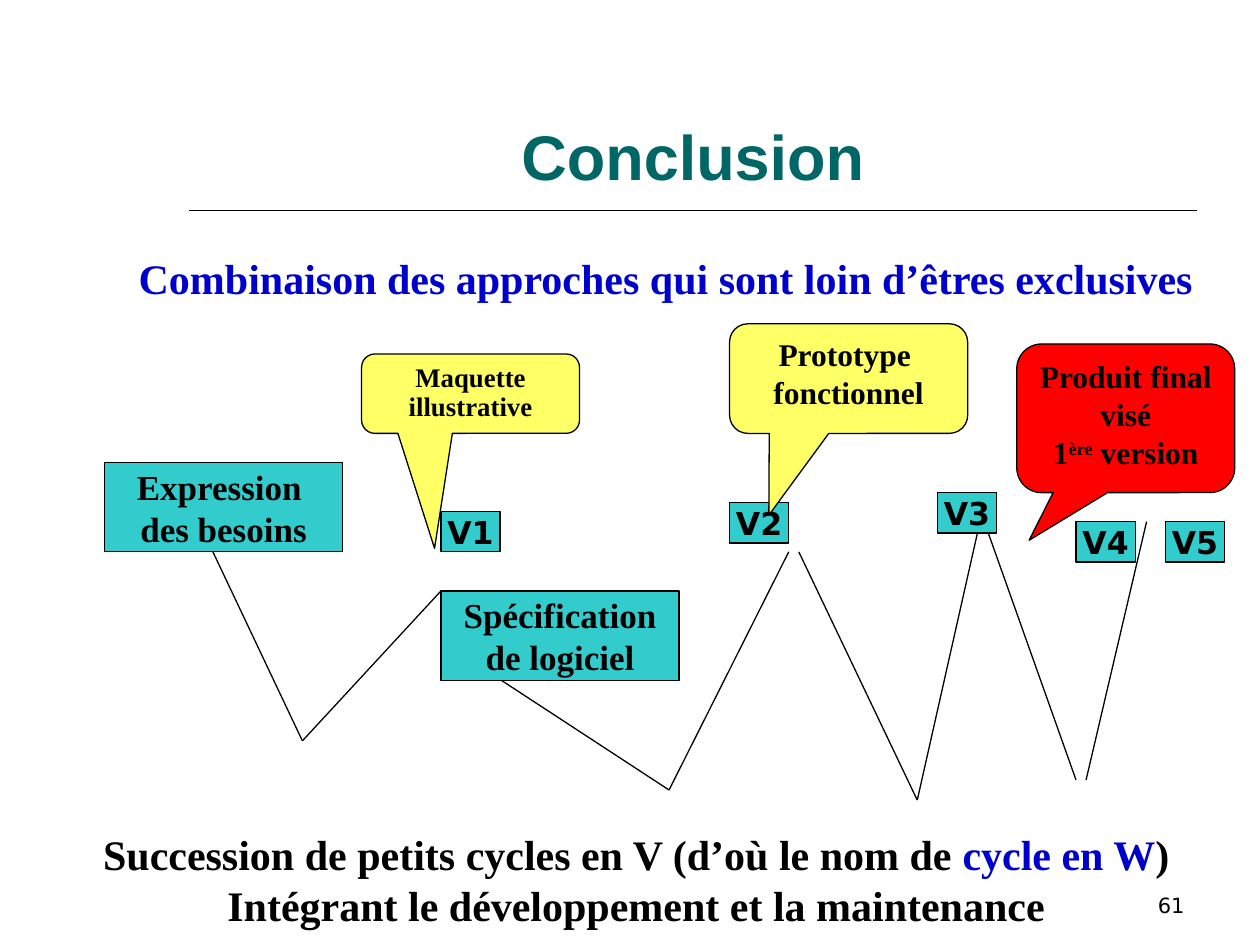
from dataclasses import dataclass
from itertools import pairwise

from lxml.etree import SubElement
from pptx import Presentation
from pptx.dml.color import RGBColor
from pptx.enum.shapes import MSO_CONNECTOR, MSO_SHAPE
from pptx.enum.text import MSO_ANCHOR, PP_ALIGN
from pptx.oxml.ns import qn
from pptx.util import Inches, Pt


@dataclass(frozen=True)
class Theme:
    black: str = "000000"
    heading: str = "006666"
    accent: str = "0000CC"
    step: str = "33CCCC"
    note: str = "FFFF66"
    final: str = "FF0000"
    serif: str = "Times New Roman"
    sans: str = "Arial"
    label: str = "DejaVu Sans"
    title_size: float = 36
    body_size: float = 24
    step_size: float = 20
    version_size: float = 18
    small_note_size: float = 15.3
    number_size: float = 12
    line_width: float = 0.75


@dataclass(frozen=True)
class Box:
    left: float
    top: float
    width: float
    height: float

    def inner(self, x, y, width, height):
        return Box(self.left + x, self.top + y, width, height)

    def inches(self):
        return [Inches(v) for v in (self.left, self.top, self.width, self.height)]


THEME = Theme()


def color(value):
    return RGBColor.from_string(value)


def write(frame, lines, size, font, bold=True, ink=THEME.black,
          align=PP_ALIGN.CENTER, anchor=MSO_ANCHOR.TOP, wrap=True, spacing=None):
    """Each line is a list of (text, colour or None, superscript) runs."""
    frame.word_wrap = wrap
    frame.vertical_anchor = anchor
    for index, line in enumerate(lines):
        paragraph = frame.paragraphs[0] if index == 0 else frame.add_paragraph()
        paragraph.alignment = align
        if spacing:
            paragraph.line_spacing = spacing
        for text, run_ink, raised in line:
            run = paragraph.add_run()
            run.text = text
            run.font.size, run.font.name, run.font.bold = Pt(size), font, bold
            run.font.color.rgb = color(run_ink or ink)
            if raised:
                run.font._element.set("baseline", "30000")


def plain(*texts):
    return [[(text, None, False)] for text in texts]


def add_text(slide, box, lines, size, font, **style):
    frame = slide.shapes.add_textbox(*box.inches()).text_frame
    write(frame, lines, size, font, **style)
    return frame


def add_filled(slide, preset, box, fill):
    shape = slide.shapes.add_shape(preset, *box.inches())
    shape.shadow.inherit = False
    shape.fill.solid()
    shape.fill.fore_color.rgb = color(fill)
    shape.line.color.rgb = color(THEME.black)
    shape.line.width = Pt(THEME.line_width)
    return shape


def add_line(slide, start, end, width=THEME.line_width):
    line = slide.shapes.add_connector(
        MSO_CONNECTOR.STRAIGHT, *[Inches(v) for v in (*start, *end)])
    line.line.color.rgb = color(THEME.black)
    line.line.width = Pt(width)
    SubElement(line._element.spPr, qn("a:effectLst"))


def add_step(slide, box, lines, size, font):
    shape = add_filled(slide, MSO_SHAPE.RECTANGLE, box, THEME.step)
    write(shape.text_frame, lines, size, font, anchor=MSO_ANCHOR.MIDDLE, wrap=False)


def add_callout(slide, box, lines, fill, tip, size, spacing=None):
    shape = add_filled(slide, MSO_SHAPE.ROUNDED_RECTANGULAR_CALLOUT, box, fill)
    for index, value in enumerate((*tip, 0.167)):
        shape.adjustments[index] = value
    write(shape.text_frame, lines, size, THEME.serif, spacing=spacing)


def build_header(slide, box):
    # Title above its rule
    add_text(slide, box.inner(0, 0, box.width, 1.25), plain("Conclusion"),
             THEME.title_size, THEME.sans, ink=THEME.heading, anchor=MSO_ANCHOR.BOTTOM)
    rule_y = box.top + box.height
    add_line(slide, (box.left, rule_y), (box.left + box.width, rule_y), 1)


def build_statement(slide, box):
    frame = add_text(slide, box, plain("Combinaison des approches qui sont loin d’êtres exclusives"),
                     THEME.body_size, THEME.serif, ink=THEME.accent,
                     align=PP_ALIGN.LEFT, spacing=0.9)
    frame.margin_left = Inches(0.35)


def build_w_cycle(slide, box):
    # Strokes of the successive V cycles
    strokes = [
        [(0.86, 1.81), (1.57, 3.31), (2.67, 2.12)],
        [(3.15, 2.83), (4.48, 3.70), (5.43, 1.81)],
        [(5.51, 1.81), (6.45, 3.78), (6.93, 1.65)],
        [(7.01, 1.65), (7.71, 3.62)],
        [(7.79, 3.62), (8.27, 1.57)],
    ]
    for stroke in strokes:
        points = [(box.left + x, box.top + y) for x, y in stroke]
        for start, end in pairwise(points):
            add_line(slide, start, end)

    # Activities
    activities = [
        (0, 1.10, ("Expression ", "des besoins")),
        (2.67, 2.12, ("Spécification", "de logiciel")),
    ]
    for x, y, words in activities:
        add_step(slide, box.inner(x, y, 1.89, 0.71), plain(*words),
                 THEME.step_size, THEME.serif)

    # Versions V1 to V5
    versions = [(2.67, 1.49), (4.96, 1.42), (6.61, 1.34), (7.71, 1.57), (8.42, 1.57)]
    for number, (x, y) in enumerate(versions, start=1):
        add_step(slide, box.inner(x, y, 0.47, 0.32), plain(f"V{number}"),
                 THEME.version_size, THEME.label)

    # Deliverables
    final_lines = plain("Produit final visé") + [
        [("1", None, False), ("ère", None, True), (" version", None, False)]]
    add_callout(slide, box.inner(2.04, 0.24, 1.73, 0.63), plain("Maquette", "illustrative"),
                THEME.note, (-0.165, 1.949), THEME.small_note_size, spacing=0.9)
    add_callout(slide, box.inner(4.96, 0, 1.89, 0.87), plain("Prototype ", "fonctionnel"),
                THEME.note, (-0.335, 1.246), THEME.version_size)
    add_callout(slide, box.inner(7.24, 0.16, 1.73, 1.18), final_lines,
                THEME.final, (-0.443, 0.82), THEME.version_size)


def build_summary(slide, box):
    first = [("Succession de petits cycles en V (d’où le nom de ", None, False),
             ("cycle en W", THEME.accent, False), (")", None, False)]
    lines = [first] + plain("Intégrant le développement et la maintenance")
    add_text(slide, box, lines, THEME.body_size, THEME.serif)


def build_page_number(slide, box):
    add_text(slide, box, plain("61"), THEME.number_size, THEME.label, bold=False,
             align=PP_ALIGN.RIGHT, anchor=MSO_ANCHOR.BOTTOM)


def main():
    deck = Presentation()
    deck.slide_width, deck.slide_height = Inches(10), Inches(7.5)
    slide = deck.slides.add_slide(deck.slide_layouts[6])
    build_header(slide, Box(1.5, 0.33, 8, 1.34))
    build_page_number(slide, Box(7.17, 6.83, 2.33, 0.5))
    build_statement(slide, Box(0.75, 2, 9.25, 0.65))
    build_w_cycle(slide, Box(0.83, 2.57, 8.97, 3.78))
    build_summary(slide, Box(0.1, 6.53, 9.9, 0.9))
    deck.save("out.pptx")


if __name__ == "__main__":
    main()
